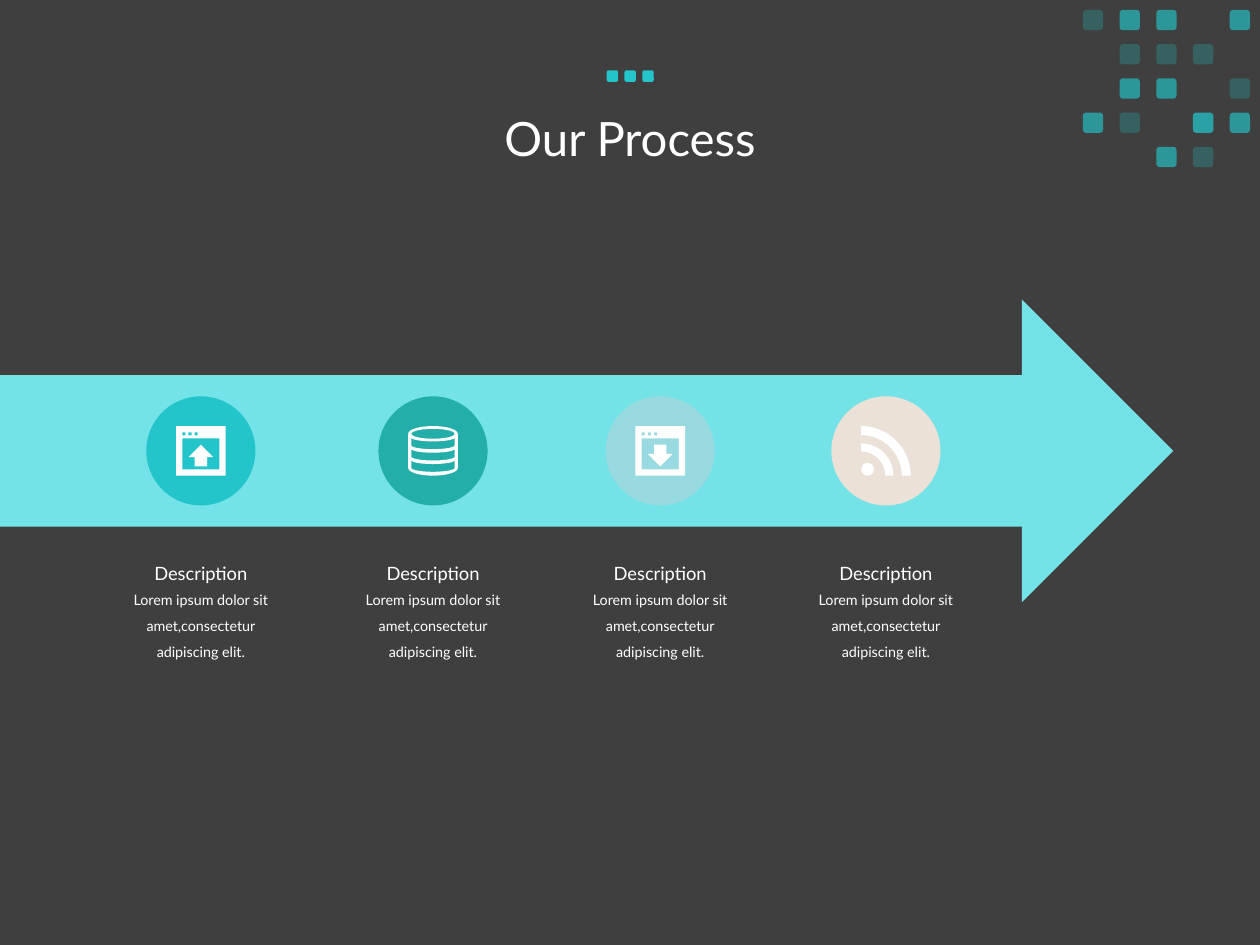
from math import cos, pi, sin

from lxml.etree import SubElement
from pptx import Presentation
from pptx.dml.color import RGBColor
from pptx.enum.shapes import MSO_SHAPE
from pptx.enum.text import MSO_ANCHOR, MSO_AUTO_SIZE, PP_ALIGN
from pptx.oxml.ns import qn
from pptx.util import Cm, Pt

DARK = RGBColor(0x3F, 0x3F, 0x3F)
WHITE = RGBColor(0xFF, 0xFF, 0xFF)
CYAN = RGBColor(0x23, 0xC5, 0xCA)
LIGHT_CYAN = RGBColor(0x73, 0xE3, 0xE7)
TEAL = RGBColor(0x23, 0xAE, 0xA9)
PALE_BLUE = RGBColor(0x99, 0xDA, 0xE0)
SAND = RGBColor(0xEB, 0xE1, 0xD7)

FONT = "Lato"
CENTER_Y = 9.09  # middle of the arrow, in cm
CIRCLE = 2.2
UNIT = 1 / 16  # icons are drawn on a 16 x 16 grid, 1 cm wide

# Opacity of the corner squares, listed in drawing order where they overlap
CORNER_GRID = [
    [[25], [65], [65], [], [65]],
    [[], [25], [25], [25], []],
    [[], [65], [65], [], [25]],
    [[65], [25], [], [65, 25], [65]],
    [[], [], [65], [25], []],
]


def style(sp, color, alpha=None):
    sp.shadow.inherit = False
    sp.line.fill.background()
    sp.fill.solid()
    sp.fill.fore_color.rgb = color
    if alpha is not None:
        clr = sp.fill._xPr.find(qn("a:solidFill"))[0]
        SubElement(clr, qn("a:alpha")).set("val", str(alpha * 1000))
    return sp


def add_shape(s, kind, x, y, w, h, color, alpha=None):
    sp = s.shapes.add_shape(kind, Cm(x), Cm(y), Cm(w), Cm(h))
    return style(sp, color, alpha)


def add_text(s, text, x, y, w, h, size, spacing=None, wrap=True,
             anchor=MSO_ANCHOR.TOP, grow=True):
    tf = s.shapes.add_textbox(Cm(x), Cm(y), Cm(w), Cm(h)).text_frame
    tf.word_wrap = wrap
    tf.vertical_anchor = anchor
    tf.auto_size = MSO_AUTO_SIZE.SHAPE_TO_FIT_TEXT if grow else MSO_AUTO_SIZE.NONE
    p = tf.paragraphs[0]
    p.alignment = PP_ALIGN.CENTER
    if spacing:
        p.line_spacing = spacing
    r = p.add_run()
    r.text = text
    r.font.name = FONT
    r.font.size = Pt(size)
    r.font.color.rgb = WHITE


def add_outline(s, cx, contours):
    """Draw closed contours on the icon grid centred at cx; inner ones are holes."""
    left, top = cx - 0.5, CENTER_Y - 0.5
    builder = None
    for contour in contours:
        pts = [(Cm(left + x * UNIT), Cm(top + y * UNIT)) for x, y in contour]
        if builder is None:
            builder = s.shapes.build_freeform(*pts[0])
        else:
            builder.move_to(*pts[0])
        builder.add_line_segments(pts[1:], close=True)
    style(builder.convert_to_shape(), WHITE)


def rect(x1, y1, x2, y2):
    return [(x1, y1), (x2, y1), (x2, y2), (x1, y2)]


def arc(cx, cy, rx, ry, start, end, steps=24):
    """Points on an ellipse; angles in degrees, clockwise from the right."""
    angles = [(start + (end - start) * i / steps) * pi / 180 for i in range(steps + 1)]
    return [(cx + rx * cos(a), cy + ry * sin(a)) for a in angles]


# Icons
def window_icon(s, cx, up):
    buttons = [rect(x, 2, x + 1, 3) for x in (2, 4, 6)]
    add_outline(s, cx, [rect(0, 0, 16, 16), rect(2, 4, 14, 14)] + buttons)
    arrow = [(6, 6), (10, 6), (10, 9), (12, 9), (8, 13), (4, 9), (6, 9)]
    if up:
        arrow = [(x, 19 - y) for x, y in arrow]
    add_outline(s, cx, [arrow])


def upload_icon(s, cx):
    window_icon(s, cx, up=True)


def download_icon(s, cx):
    window_icon(s, cx, up=False)


def database_icon(s, cx):
    body = arc(8, 2.5, 8, 2.5, 180, 360) + arc(8, 13.5, 8, 2.5, 0, 180)
    lid = arc(8, 2.5, 7, 1.6, 0, 360)
    bands = [arc(8, y, 7, 1.25, 180, 0) + arc(8, y + 2.5, 7, 1.25, 0, 180)
             for y in (3.7, 7.35, 11)]
    add_outline(s, cx, [body, lid] + bands)


def feed_icon(s, cx):
    add_shape(s, MSO_SHAPE.OVAL, cx - 0.5, CENTER_Y + 0.24, 0.26, 0.26, WHITE)
    for outer, inner in ((10.4, 7.8), (16, 13.1)):
        ring = arc(0, 16, outer, outer, 270, 360) + arc(0, 16, inner, inner, 360, 270)
        add_outline(s, cx, [ring])


# Parts of the slide
def add_corner_squares(s):
    for row, cells in enumerate(CORNER_GRID):
        for col, alphas in enumerate(cells):
            for alpha in alphas:
                add_shape(s, MSO_SHAPE.ROUNDED_RECTANGLE, 21.83 + col * 0.74,
                          0.2 + row * 0.69, 0.41, 0.41, CYAN, alpha)


def add_heading(s):
    add_text(s, "Our Process", 1.75, 1, 21.9, 3.68, 27, spacing=0.9,
             anchor=MSO_ANCHOR.MIDDLE, grow=False)
    for i in range(3):
        add_shape(s, MSO_SHAPE.ROUNDED_RECTANGLE, 12.23 + i * 0.36, 1.42,
                  0.23, 0.23, CYAN)


def add_step(s, cx, color, icon):
    add_shape(s, MSO_SHAPE.OVAL, cx - CIRCLE / 2, CENTER_Y - CIRCLE / 2,
              CIRCLE, CIRCLE, color)
    icon(s, cx)
    add_text(s, "Description", cx - 1.25, 11.2, 2.5, 0.71, 10.5, wrap=False)
    add_text(s, "Lorem ipsum dolor sit amet,consectetur adipiscing elit.",
             cx - 1.89, 11.63, 3.78, 1.78, 8.2, spacing=1.5)


def main():
    prs = Presentation()
    prs.slide_width, prs.slide_height = Cm(25.4), Cm(19.05)
    s = prs.slides.add_slide(prs.slide_layouts[6])
    s.background.fill.solid()
    s.background.fill.fore_color.rgb = DARK

    add_heading(s)
    add_corner_squares(s)

    # Process arrow, entering from the left edge
    add_shape(s, MSO_SHAPE.NOTCHED_RIGHT_ARROW, -1.55, CENTER_Y - 3.05,
              25.2, 6.1, LIGHT_CYAN)

    steps = [
        (4.05, CYAN, upload_icon),
        (8.73, TEAL, database_icon),
        (13.31, PALE_BLUE, download_icon),
        (17.86, SAND, feed_icon),
    ]
    for cx, color, icon in steps:
        add_step(s, cx, color, icon)

    prs.save("out.pptx")


if __name__ == "__main__":
    main()
